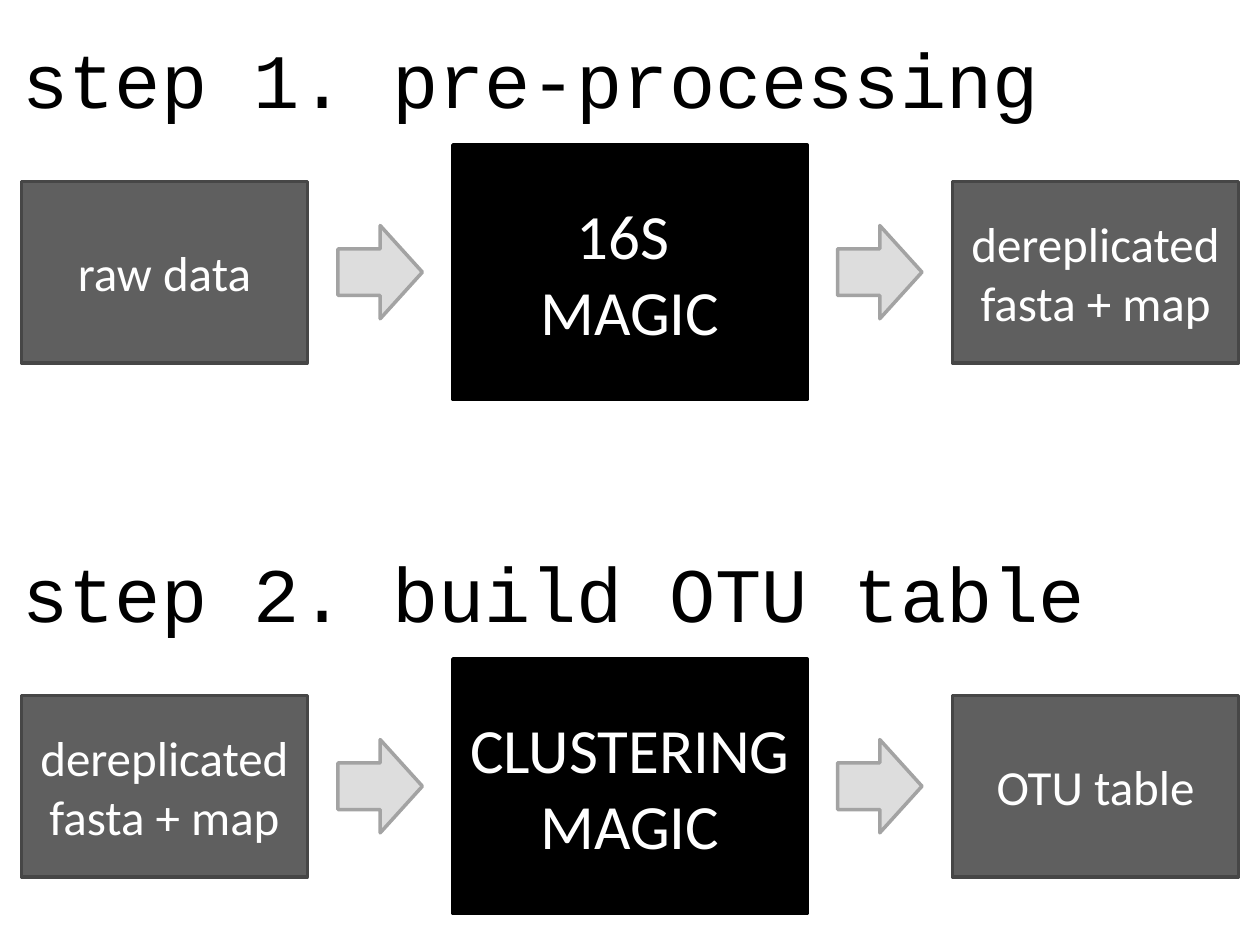
from pptx import Presentation
from pptx.dml.color import RGBColor
from pptx.enum.shapes import MSO_SHAPE
from pptx.enum.text import MSO_ANCHOR, PP_ALIGN
from pptx.util import Inches, Pt

BLACK = RGBColor(0x00, 0x00, 0x00)
WHITE = RGBColor(0xFF, 0xFF, 0xFF)
DARK = RGBColor(0x5F, 0x5F, 0x5F)
DARK_EDGE = RGBColor(0x46, 0x46, 0x46)
LIGHT = RGBColor(0xDD, 0xDD, 0xDD)
LIGHT_EDGE = RGBColor(0xA3, 0xA3, 0xA3)

TITLE = {"name": "Courier New", "size": Pt(44)}
DATA = {"name": "Calibri", "size": Pt(28)}
MAGIC = {"name": "Calibri", "size": Pt(36)}

DATA_SIZE = Inches(2.27), Inches(1.44)
MAGIC_SIZE = Inches(2.81), Inches(2.02)
ARROW_SIZE = Inches(0.74), Inches(0.67)


def write(tf, text, fmt, color, align):
    """Fill a text frame with one formatted paragraph."""
    tf.word_wrap = True
    p = tf.paragraphs[0]
    p.text = text
    p.alignment = align
    for r in p.runs:
        for key, value in fmt.items():
            setattr(r.font, key, value)
        r.font.color.rgb = color


def add_title(s, text, left, top, width, height):
    """Place a step heading in the given box."""
    tf = s.shapes.add_textbox(left, top, width, height).text_frame
    tf.vertical_anchor = MSO_ANCHOR.TOP
    tf.margin_top = Inches(0.17)
    write(tf, text, TITLE, BLACK, PP_ALIGN.LEFT)


def add_block(s, kind, cx, cy, size, fill, edge):
    """Place a flat outlined shape centred on a point."""
    width, height = size
    sp = s.shapes.add_shape(kind, int(cx - width / 2), int(cy - height / 2), width, height)
    sp.shadow.inherit = False
    sp.fill.solid()
    sp.fill.fore_color.rgb = fill
    sp.line.color.rgb = edge
    sp.line.width = Pt(2)
    return sp


def add_box(s, text, cx, cy, size, fill, edge, fmt):
    """Place a labelled rectangle centred on a point."""
    sp = add_block(s, MSO_SHAPE.RECTANGLE, cx, cy, size, fill, edge)
    sp.text_frame.vertical_anchor = MSO_ANCHOR.MIDDLE
    write(sp.text_frame, text, fmt, WHITE, PP_ALIGN.CENTER)


def add_arrow(s, cx, cy):
    """Place an arrow pointing right, centred on a point."""
    sp = add_block(s, MSO_SHAPE.DOWN_ARROW, cx, cy, ARROW_SIZE, LIGHT, LIGHT_EDGE)
    sp.rotation = 270


def add_flow(s, labels, left, cy, width):
    """Spread input, process and output boxes with arrows at equal gaps."""
    source, process, result = labels
    widths = [DATA_SIZE[0], ARROW_SIZE[1], MAGIC_SIZE[0], ARROW_SIZE[1], DATA_SIZE[0]]
    gap = (width - sum(widths)) / (len(widths) - 1)
    centers = [left + sum(widths[:i]) + i * gap + w / 2 for i, w in enumerate(widths)]
    add_box(s, source, centers[0], cy, DATA_SIZE, DARK, DARK_EDGE, DATA)
    add_arrow(s, centers[1], cy)
    add_box(s, process, centers[2], cy, MAGIC_SIZE, BLACK, BLACK, MAGIC)
    add_arrow(s, centers[3], cy)
    add_box(s, result, centers[4], cy, DATA_SIZE, DARK, DARK_EDGE, DATA)


def add_step(s, title, labels, left, top, width):
    """Place a heading with its flow below it."""
    add_title(s, title, left, top, width, Inches(1.25))
    inset = Inches(0.09)
    add_flow(s, labels, left + inset, top + Inches(2.08), width - inset)


def main():
    """Build the slide with its two steps."""
    prs = Presentation()
    prs.slide_width, prs.slide_height = Inches(10), Inches(7.5)
    s = prs.slides.add_slide(prs.slide_layouts[6])
    steps = [
        ("step 1. pre-processing", ("raw data", "16S \vMAGIC", "dereplicated fasta + map")),
        ("step 2. build OTU table", ("dereplicated fasta + map", "CLUSTERING MAGIC", "OTU table")),
    ]
    for i, (title, labels) in enumerate(steps):
        add_step(s, title, labels, Inches(0.08), Inches(0.08) + i * Inches(4.08), Inches(9.75))
    prs.save("out.pptx")


if __name__ == "__main__":
    main()
